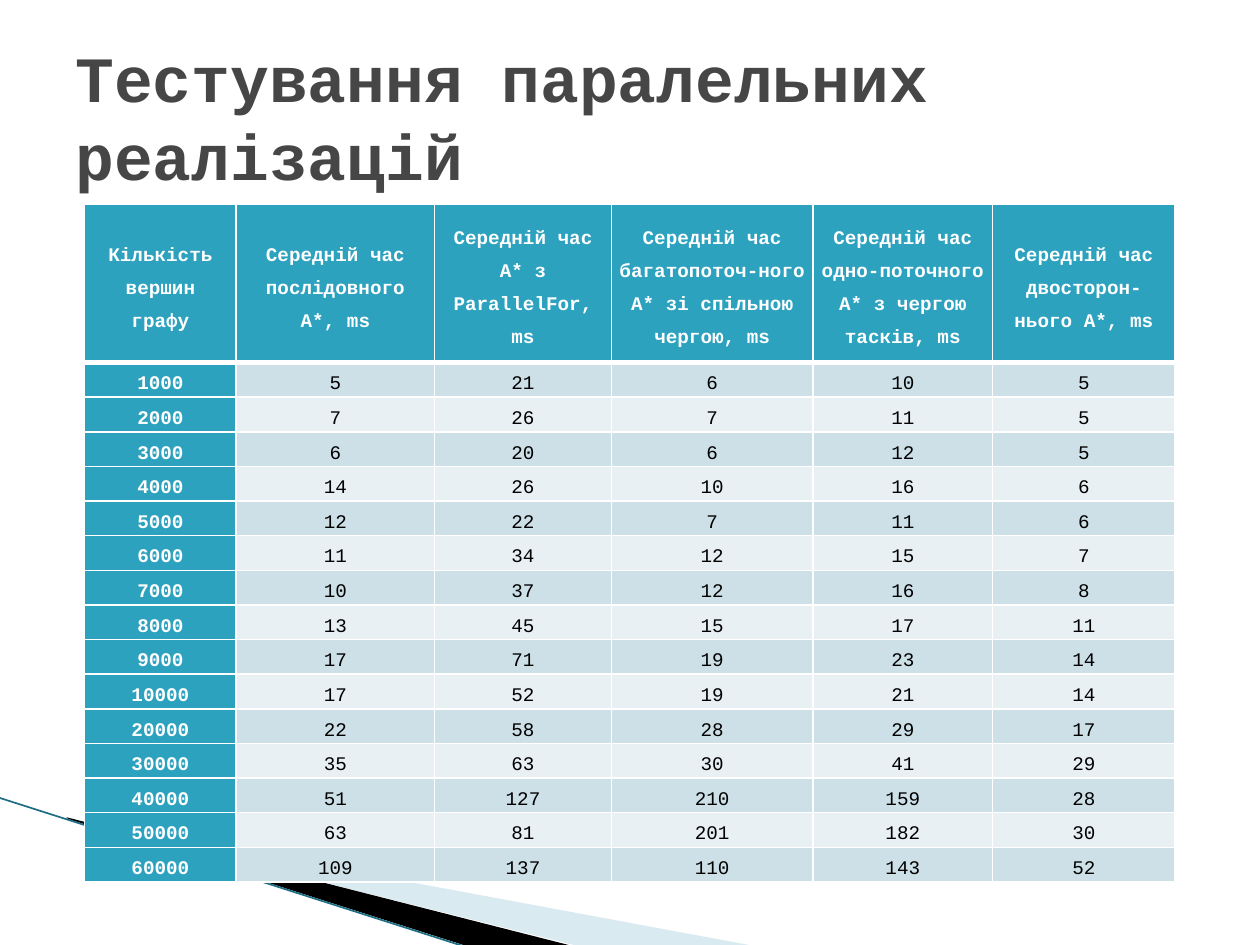
"""Build the slide that compares timings of parallel A* implementations."""
import pptx
import pptx.dml.color
import pptx.enum.shapes
import pptx.enum.text
import pptx.oxml
import pptx.oxml.ns
import pptx.util

Pt = pptx.util.Pt
FONT = "Courier New"
TITLE = "Тестування паралельних реалізацій"
HEADINGS = [
    "Кількість вершин графу",
    "Середній час послідовного A*, ms",
    "Середній час A* з ParallelFor, ms",
    "Середній час багатопоточ-ного A* зі спільною чергою, ms",
    "Середній час одно-поточного A* з чергою тасків, ms",
    "Середній час двосторон-нього A*, ms",
]
TIMINGS = [
    (1000, 5, 21, 6, 10, 5),
    (2000, 7, 26, 7, 11, 5),
    (3000, 6, 20, 6, 12, 5),
    (4000, 14, 26, 10, 16, 6),
    (5000, 12, 22, 7, 11, 6),
    (6000, 11, 34, 12, 15, 7),
    (7000, 10, 37, 12, 16, 8),
    (8000, 13, 45, 15, 17, 11),
    (9000, 17, 71, 19, 23, 14),
    (10000, 17, 52, 19, 21, 14),
    (20000, 22, 58, 28, 29, 17),
    (30000, 35, 63, 30, 41, 29),
    (40000, 51, 127, 210, 159, 28),
    (50000, 63, 81, 201, 182, 30),
    (60000, 109, 137, 110, 143, 52),
]
COLUMN_WIDTHS = [86.6, 113.4, 101, 115.2, 102.7, 104.3]
HEADER_HEIGHT, ROW_HEIGHT = 90.4, 19.8
TABLE_LEFT, TABLE_TOP = 48.4, 116.8
CELL_INSET = 4.2
ACCENT, BANDS = "2DA2BF", ("CDE0E8", "E8F0F4")
WEDGES = [
    ([(39.6, 468.5), (428.4, 540.5), (328.3, 540.5), (39.6, 468)], "A0CBDC", 40),
    ([(38.2, 467.3), (329, 540.7), (267.8, 541.4), (38.9, 468)], "000000", 100),
]
EDGE = [(-0.7, 455.8), (267.1, 541.4)]


def rgb(value):
    return pptx.dml.color.RGBColor.from_string(value)


def add_span(para, text, size, color, bold):
    span = para.add_run()
    span.text = text
    span.font.name = FONT
    span.font.size = Pt(size)
    span.font.bold = bold
    span.font.color.rgb = rgb(color)


def add_wedge(page, points, color, opacity):
    builder = page.shapes.build_freeform(*points[0], scale=Pt(1))
    builder.add_line_segments(points[1:], close=True)
    wedge = builder.convert_to_shape()
    wedge.shadow.inherit = False
    wedge.fill.solid()
    wedge.fill.fore_color.rgb = rgb(color)
    wedge.line.fill.background()
    if opacity < 100:
        tint = wedge.fill._xPr.find(".//" + pptx.oxml.ns.qn("a:srgbClr"))
        tint.append(pptx.oxml.parse_xml(
            f'<a:alpha {pptx.oxml.ns.nsdecls("a")} val="{opacity * 1000}"/>'))


def add_edge(page):
    (left, top), (right, bottom) = EDGE
    edge = page.shapes.add_connector(
        pptx.enum.shapes.MSO_CONNECTOR.STRAIGHT, Pt(left), Pt(top), Pt(right), Pt(bottom))
    edge.line.color.rgb = rgb("1B6E83")
    edge.line.width = Pt(0.95)
    edge._element.spPr.append(pptx.oxml.parse_xml(
        f'<a:effectLst {pptx.oxml.ns.nsdecls("a")}/>'))


def set_borders(cell, top, bottom):
    properties = cell._tc.get_or_add_tcPr()
    for index, (side, width) in enumerate(zip("LRTB", (1, 1, top, bottom))):
        properties.insert(index, pptx.oxml.parse_xml(
            f'<a:ln{side} {pptx.oxml.ns.nsdecls("a")} w="{Pt(width)}">'
            f'<a:solidFill><a:srgbClr val="FFFFFF"/></a:solidFill></a:ln{side}>'))


def add_timings(page):
    rows = [HEADINGS] + TIMINGS
    heights = [HEADER_HEIGHT] + [ROW_HEIGHT] * len(TIMINGS)
    table = page.shapes.add_table(
        len(rows), len(HEADINGS), Pt(TABLE_LEFT), Pt(TABLE_TOP),
        Pt(sum(COLUMN_WIDTHS)), Pt(sum(heights))).table
    table.first_col = True
    for column, width in zip(table.columns, COLUMN_WIDTHS):
        column.width = Pt(width)
    for row_index, (values, height) in enumerate(zip(rows, heights)):
        table.rows[row_index].height = Pt(height)
        for column_index, value in enumerate(values):
            cell = table.cell(row_index, column_index)
            strong = row_index == 0 or column_index == 0
            cell.margin_left = cell.margin_right = Pt(CELL_INSET)
            cell.margin_top = cell.margin_bottom = Pt(0)
            if row_index == 0:
                cell.vertical_anchor = pptx.enum.text.MSO_ANCHOR.MIDDLE
            cell.fill.solid()
            cell.fill.fore_color.rgb = rgb(ACCENT if strong else BANDS[(row_index - 1) % 2])
            set_borders(cell, 3 if row_index == 1 else 1, 3 if row_index == 0 else 1)
            para = cell.text_frame.paragraphs[0]
            para.alignment = pptx.enum.text.PP_ALIGN.CENTER
            para.line_spacing = 1.5
            add_span(para, str(value), 11, "FFFFFF" if strong else "000000", strong)


def add_title(page):
    box = page.shapes.add_textbox(Pt(36), Pt(18.2), Pt(648), Pt(96))
    box.text_frame.word_wrap = True
    box.text_frame.vertical_anchor = pptx.enum.text.MSO_ANCHOR.TOP
    add_span(box.text_frame.paragraphs[0], TITLE, 36.9, "464646", True)


def main():
    deck = pptx.Presentation()
    deck.slide_width, deck.slide_height = Pt(720), Pt(540)
    page = deck.slides.add_slide(deck.slide_layouts[6])
    for points, color, opacity in WEDGES:
        add_wedge(page, points, color, opacity)
    add_edge(page)
    add_timings(page)
    add_title(page)
    deck.save("out.pptx")


if __name__ == "__main__":
    main()
